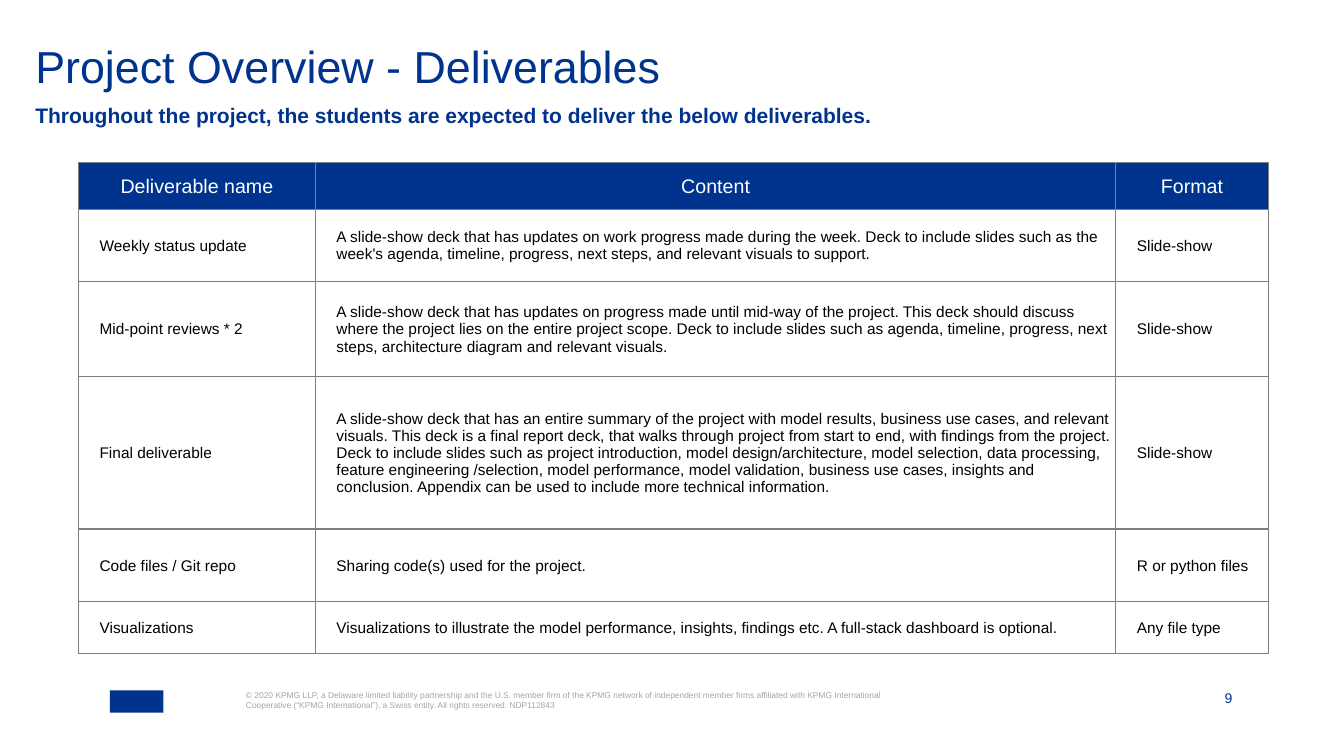
"""Build the project deliverables slide."""
from lxml.etree import SubElement
from pptx import Presentation
from pptx.dml.color import RGBColor
from pptx.enum.shapes import MSO_SHAPE
from pptx.enum.text import MSO_ANCHOR, MSO_AUTO_SIZE, PP_ALIGN
from pptx.oxml.ns import qn
from pptx.util import Cm, Pt

NAVY = "00338D"
WHITE = "FFFFFF"
BLACK = "000000"
BORDER_GRAY = "7F7F7F"
FOOTER_GRAY = "A5A5A5"


def add_run(paragraph, text, size, color, bold=False):
    run = paragraph.add_run()
    run.text = text
    run.font.name = "Arial"
    run.font.size = Pt(size)
    run.font.bold = bold
    run.font.color.rgb = RGBColor.from_string(color)


def set_frame(shape, left, top, width, height, anchor=MSO_ANCHOR.TOP):
    shape.left, shape.top = Cm(left), Cm(top)
    shape.width, shape.height = Cm(width), Cm(height)
    frame = shape.text_frame
    frame.margin_left = frame.margin_right = frame.margin_top = frame.margin_bottom = 0
    frame.word_wrap = True
    frame.auto_size = MSO_AUTO_SIZE.NONE
    frame.vertical_anchor = anchor
    return frame.paragraphs[0]


presentation = Presentation()
presentation.slide_width = Cm(33.87)
presentation.slide_height = Cm(19.05)
slide = presentation.slides.add_slide(presentation.slide_layouts[1])

title = set_frame(slide.shapes.title, 0.89, 1.12, 28.32, 1.47)
title.alignment = PP_ALIGN.LEFT
title.line_spacing = 0.9
add_run(title, "Project Overview - Deliverables", 32, NAVY)

subtitle = set_frame(slide.placeholders[1], 0.89, 2.59, 32.11, 1.47)
properties = subtitle._p.get_or_add_pPr()
properties.set("marL", "0")
properties.set("indent", "0")
SubElement(properties, qn("a:buNone"))
subtitle.space_before = Pt(0)
add_run(
    subtitle,
    "Throughout the project, the students are expected to deliver the below deliverables.",
    15, NAVY, True,
)

deliverables = [
    ("Deliverable name", "Content", "Format"),
    (
        "Weekly status update",
        "A slide-show deck that has updates on work progress made during the week. "
        "Deck to include slides such as the week's agenda, timeline, progress, next steps, "
        "and relevant visuals to support.",
        "Slide-show",
    ),
    (
        "Mid-point reviews * 2",
        "A slide-show deck that has updates on progress made until mid-way of the project. "
        "This deck should discuss where the project lies on the entire project scope. "
        "Deck to include slides such as agenda, timeline, progress, next steps, "
        "architecture diagram and relevant visuals.",
        "Slide-show",
    ),
    (
        "Final deliverable",
        "A slide-show deck that has an entire summary of the project with model results, "
        "business use cases, and relevant visuals. This deck is a final report deck, that "
        "walks through project from start to end, with findings from the project. Deck to "
        "include slides such as project introduction, model design/architecture, model "
        "selection, data processing, feature engineering /selection, model performance, "
        "model validation, business use cases, insights and conclusion. Appendix can be "
        "used to include more technical information.",
        "Slide-show",
    ),
    ("Code files / Git repo", "Sharing code(s) used for the project.", "R or python files"),
    (
        "Visualizations",
        "Visualizations to illustrate the model performance, insights, findings etc. "
        "A full-stack dashboard is optional.",
        "Any file type",
    ),
]
column_widths = [5.97, 20.17, 3.84]
row_heights = [1.17, 1.83, 2.39, 3.84, 1.83, 1.3]
table = slide.shapes.add_table(
    len(row_heights), len(column_widths), Cm(1.98), Cm(4.1),
    Cm(sum(column_widths)), Cm(sum(row_heights)),
).table
table.first_row = False
table.horz_banding = False
for column, width in zip(table.columns, column_widths):
    column.width = Cm(width)

for row_index, (row, height, texts) in enumerate(zip(table.rows, row_heights, deliverables)):
    row.height = Cm(height)
    for cell, text in zip(row.cells, texts):
        cell.margin_left = cell.margin_right = cell.margin_top = Cm(0.02)
        cell.margin_bottom = 0
        cell.vertical_anchor = MSO_ANCHOR.MIDDLE
        cell_properties = cell._tc.get_or_add_tcPr()
        for edge in ("a:lnL", "a:lnR", "a:lnT", "a:lnB"):
            line = SubElement(cell_properties, qn(edge), w=str(Pt(1)))
            line_fill = SubElement(line, qn("a:solidFill"))
            SubElement(line_fill, qn("a:srgbClr"), val=BORDER_GRAY)
        paragraph = cell.text_frame.paragraphs[0]
        if row_index == 0:
            cell.fill.solid()
            cell.fill.fore_color.rgb = RGBColor.from_string(NAVY)
            paragraph.alignment = PP_ALIGN.CENTER
            add_run(paragraph, text, 14, WHITE)
        else:
            cell.fill.background()
            paragraph._p.get_or_add_pPr().set("marL", str(Cm(0.51)))
            add_run(paragraph, text, 11, BLACK)

logo_block = slide.shapes.add_shape(MSO_SHAPE.RECTANGLE, Cm(2.77), Cm(17.4), Cm(1.35), Cm(0.56))
logo_block.shadow.inherit = False
logo_block.fill.solid()
logo_block.fill.fore_color.rgb = RGBColor.from_string(NAVY)
logo_block.line.fill.background()

copyright_box = slide.shapes.add_textbox(0, 0, 0, 0)
add_run(
    set_frame(copyright_box, 6.2, 17.4, 16.23, 1.04),
    "© 2020 KPMG LLP, a Delaware limited liability partnership and the U.S. member firm of "
    "the KPMG network of independent member firms affiliated with KPMG International "
    "Cooperative (“KPMG International”), a Swiss entity. All rights reserved. NDP112843",
    6, FOOTER_GRAY,
)

page_box = slide.shapes.add_textbox(0, 0, 0, 0)
page_number = set_frame(page_box, 29.82, 17.4, 1.24, 0.41, MSO_ANCHOR.BOTTOM)
page_number.alignment = PP_ALIGN.RIGHT
add_run(page_number, "9", 10, NAVY)

presentation.save("out.pptx")
